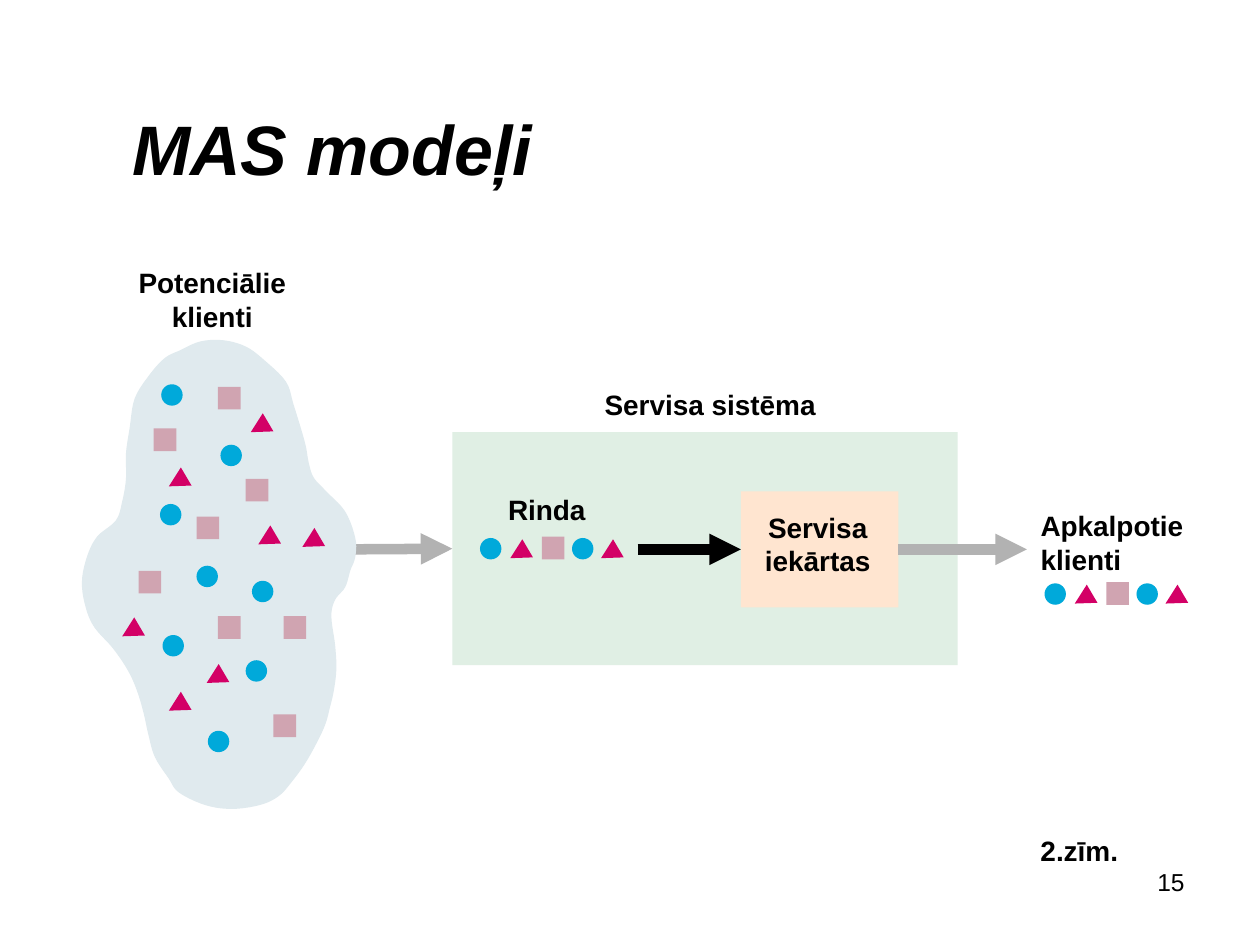
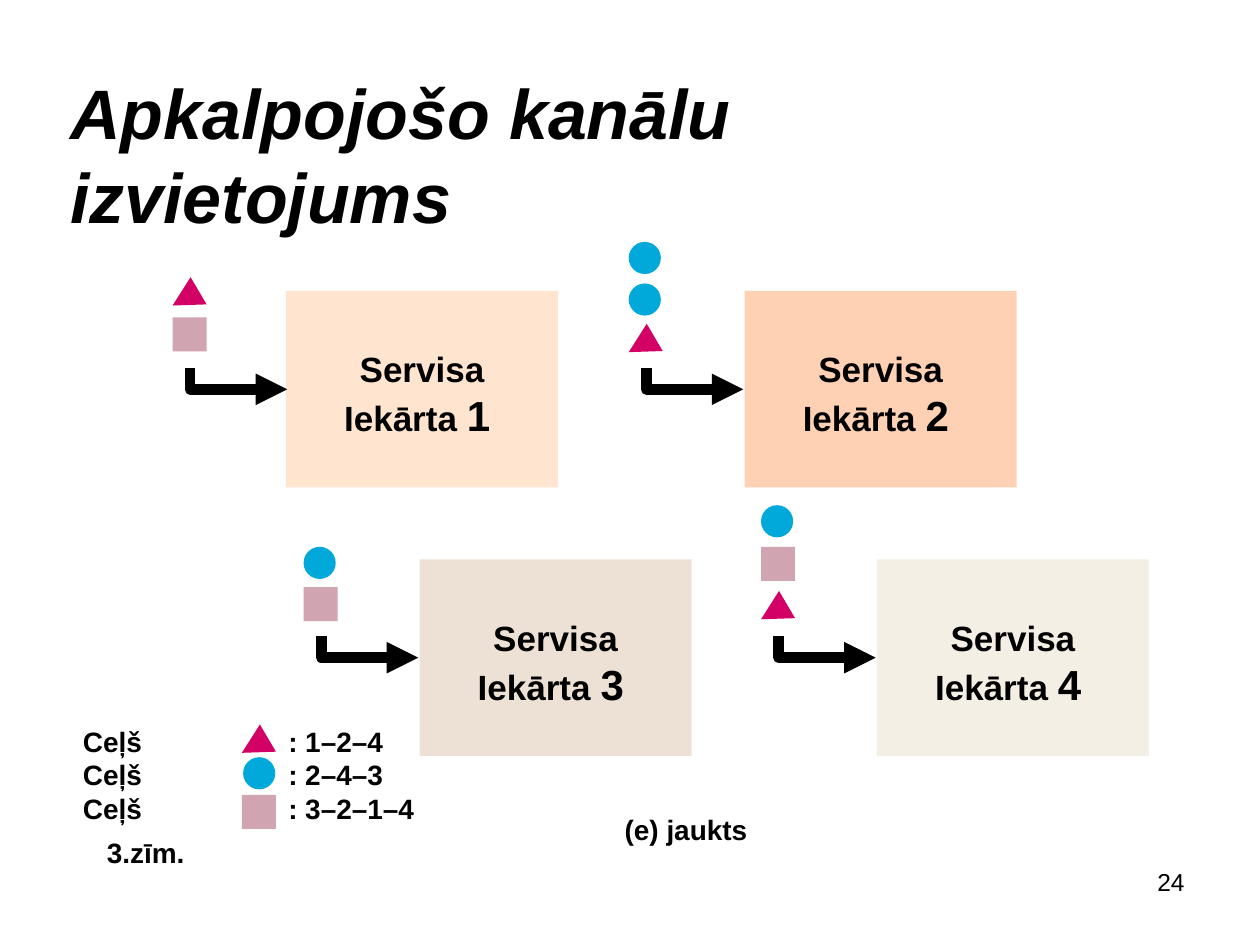
from lxml.etree import SubElement
from pptx import Presentation
from pptx.dml.color import RGBColor
from pptx.enum.shapes import MSO_CONNECTOR, MSO_SHAPE
from pptx.enum.text import MSO_ANCHOR as ANCHOR, PP_ALIGN as ALIGN
from pptx.oxml.ns import qn
from pptx.util import Inches, Pt

BLACK, GREY = "000000", "B2B2B2"
MINT, PEACH, MIST = "E0EFE4", "FFE5D0", "E0EAEE"
# Client marks: colour, width, height
MARKS = {
    "circle": ("00A9DA", 0.17, 0.17),
    "square": ("D0A4B1", 0.18, 0.18),
    "triangle": ("D30066", 0.18, 0.15),
}
TOP, LEFT, BOTTOM, RIGHT = range(4)


def color(value):
    return RGBColor.from_string(value)


class Deck:
    font = "Arial"

    def __init__(self):
        self.presentation = Presentation()
        self.presentation.slide_width = Inches(10)
        self.presentation.slide_height = Inches(7.5)
        self.slide = None

    def new_slide(self, title, title_box, number):
        layout = self.presentation.slide_layouts[6]
        self.slide = self.presentation.slides.add_slide(layout)
        self.text([title], *title_box, size=40, italic=True, anchor=ANCHOR.MIDDLE)
        self.text([number], 7.17, 6.83, 2.33, 0.52, size=14, bold=False,
                  align=ALIGN.RIGHT)

    def text(self, lines, left, top, width, height, size=16, bold=True,
             italic=False, align=ALIGN.LEFT, anchor=ANCHOR.TOP, tab=None):
        box = self.slide.shapes.add_textbox(
            Inches(left), Inches(top), Inches(width), Inches(height))
        frame = box.text_frame
        frame.word_wrap = True
        frame.vertical_anchor = anchor
        for index, line in enumerate(lines):
            paragraph = frame.add_paragraph() if index else frame.paragraphs[0]
            paragraph.text = line
            paragraph.alignment = align
            if tab:
                tabs = SubElement(paragraph._p.get_or_add_pPr(), qn("a:tabLst"))
                SubElement(tabs, qn("a:tab"), pos=str(Inches(tab)), algn="l")
            font = paragraph.font
            font.name, font.size = self.font, Pt(size)
            font.bold, font.italic = bold, italic
            font.color.rgb = color(BLACK)
        return frame

    def paint(self, shape, fill):
        shape.shadow.inherit = False
        shape.fill.solid()
        shape.fill.fore_color.rgb = color(fill)
        shape.line.fill.background()
        return shape

    def block(self, left, top, width, height, fill, kind=MSO_SHAPE.RECTANGLE):
        shape = self.slide.shapes.add_shape(
            kind, Inches(left), Inches(top), Inches(width), Inches(height))
        return self.paint(shape, fill)

    def outline(self, points, close=True):
        corners = [(Inches(x), Inches(y)) for x, y in points]
        builder = self.slide.shapes.build_freeform(*corners[0])
        builder.add_line_segments(corners[1:], close=close)
        return builder.convert_to_shape()

    def mark(self, kind, left, top, scale=1):
        fill, width, height = MARKS[kind]
        width, height = width * scale, height * scale
        if kind == "triangle":
            corners = [(left, top + height), (left + 0.53 * width, top),
                       (left + width, top + 0.96 * height)]
            self.paint(self.outline(corners), fill)
        else:
            preset = MSO_SHAPE.OVAL if kind == "circle" else MSO_SHAPE.RECTANGLE
            self.block(left, top, width, height, fill, preset)

    def client_row(self, left, top):
        kinds = ("circle", "triangle", "square", "circle", "triangle")
        offsets = ((0, 0.01), (0.24, 0.02), (0.49, 0), (0.73, 0.01), (0.96, 0.02))
        for kind, (x, y) in zip(kinds, offsets):
            self.mark(kind, left + x, top + y)

    def arrow_line(self, shape, stroke):
        shape.line.color.rgb = color(stroke)
        shape.line.width = Pt(6)
        line = shape.line._get_or_add_ln()
        SubElement(line, qn("a:round"))
        SubElement(line, qn("a:tailEnd"), type="triangle")

    def arrow(self, start, end, stroke, source=None, target=None):
        connector = self.slide.shapes.add_connector(
            MSO_CONNECTOR.STRAIGHT, *(Inches(value) for value in start + end))
        if source:
            connector.begin_connect(source, RIGHT)
        if target:
            connector.end_connect(target, LEFT)
        self.arrow_line(connector, stroke)
        SubElement(connector._element.spPr, qn("a:effectLst"))

    def bent_arrow(self, left, top):
        bottom = top + 0.17
        shape = self.outline(
            [(left, top), (left, bottom), (left + 0.77, bottom)], close=False)
        shape.shadow.inherit = False
        shape.fill.background()
        self.arrow_line(shape, BLACK)

    def station(self, number, left, top, fill):
        self.block(left, top, 2.16, 1.56, fill)
        frame = self.text(["Servisa", "Iekārta "], left + 0.31, top + 0.4,
                          1.54, 0.84, size=20, align=ALIGN.CENTER)
        paragraph = frame.paragraphs[1]
        digit = paragraph.add_run()
        digit.text = number
        digit.font.size = Pt(24)
        paragraph.add_run().text = " "


def smooth(points, steps=5):
    """Closed Catmull-Rom curve through the points."""
    curve = []
    count = len(points)
    for index in range(count):
        a, b, c, d = (points[(index + k) % count] for k in (-1, 0, 1, 2))
        for step in range(steps):
            t = step / steps
            curve.append(tuple(
                0.5 * (2 * q + (r - p) * t + (2 * p - 5 * q + 4 * r - s) * t ** 2
                       + (3 * q - p - 3 * r + s) * t ** 3)
                for p, q, r, s in zip(a, b, c, d)))
    return curve


CLOUD = [
    (1.77, 2.7), (1.95, 2.75), (2.1, 2.86), (2.27, 3.03), (2.33, 3.21),
    (2.42, 3.51), (2.45, 3.67), (2.49, 3.79), (2.59, 3.9), (2.74, 4.06),
    (2.82, 4.27), (2.82, 4.42), (2.78, 4.53), (2.74, 4.66), (2.66, 4.76),
    (2.63, 4.89), (2.66, 5.12), (2.67, 5.31), (2.65, 5.48), (2.62, 5.61),
    (2.57, 5.78), (2.44, 6.03), (2.32, 6.2), (2.21, 6.32), (2.06, 6.39),
    (1.84, 6.42), (1.63, 6.39), (1.42, 6.29), (1.34, 6.18), (1.23, 6.01),
    (1.18, 5.84), (1.14, 5.66), (1.09, 5.49), (1.02, 5.33), (0.9, 5.15),
    (0.75, 4.98), (0.68, 4.82), (0.65, 4.62), (0.69, 4.42), (0.77, 4.26),
    (0.92, 4.13), (0.97, 3.98), (1, 3.8), (1, 3.6), (1.03, 3.39),
    (1.07, 3.16), (1.19, 2.97), (1.31, 2.84), (1.43, 2.78), (1.59, 2.71),
]

POTENTIAL_CLIENTS = {
    "circle": [(1.28, 3.05), (1.56, 4.49), (1.75, 3.53), (1.29, 5.04),
               (1.27, 4), (1.95, 5.24), (2, 4.61), (1.65, 5.8)],
    "triangle": [(1.99, 3.28), (2.4, 4.19), (1.34, 3.71), (2.05, 4.17),
                 (1.64, 5.27), (0.97, 4.9), (1.34, 5.49)],
    "square": [(2.17, 5.67), (2.25, 4.89), (1.73, 4.89), (1.1, 4.53),
               (1.73, 3.07), (1.22, 3.4), (1.95, 3.8), (1.56, 4.1)],
}

# Station: number, left, top, fill, queue centre, queue of (mark, top)
STATIONS = [
    ("1", 2.27, 2.31, PEACH, 1.51, [("triangle", 2.2), ("square", 2.52)]),
    ("2", 5.91, 2.31, "FED1B4", 5.13,
     [("circle", 1.92), ("circle", 2.25), ("triangle", 2.57)]),
    ("3", 3.33, 4.44, "EDE1D6", 2.55, [("circle", 4.34), ("square", 4.66)]),
    ("4", 6.96, 4.44, "F4EFE4", 6.18,
     [("circle", 4.01), ("square", 4.34), ("triangle", 4.69)]),
]

# Route: mark, mark left, mark top, order of stations
ROUTES = [
    ("triangle", 1.92, 5.75, "1–2–4"),
    ("circle", 1.93, 6.01, "2–4–3"),
    ("square", 1.92, 6.31, "3–2–1–4"),
]


def build_models_slide(deck):
    deck.new_slide("MAS modeļi", (0.95, 0.64, 7.14, 1.06), "15")

    # Service system and its arrows
    system = deck.block(3.59, 3.43, 4.01, 1.85, MINT)
    service = deck.block(5.88, 3.9, 1.25, 0.92, PEACH)
    deck.arrow((2.78, 4.36), (3.59, 4.36), GREY, target=system)
    deck.arrow((5.06, 4.36), (5.88, 4.36), BLACK, target=service)
    deck.arrow((7.13, 4.36), (8.15, 4.36), GREY, source=service)

    # Potential clients
    deck.paint(deck.outline(smooth(CLOUD)), MIST)
    for kind, places in POTENTIAL_CLIENTS.items():
        for left, top in places:
            deck.mark(kind, left, top)

    # Waiting and served clients
    deck.client_row(3.81, 4.26)
    deck.client_row(8.29, 4.62)

    # Labels
    deck.text(["Potenciālie klienti"], 0.92, 2.06, 1.53, 0.64, align=ALIGN.CENTER)
    deck.text(["Servisa sistēma"], 4.7, 3.03, 2, 0.37)
    deck.text(["Rinda"], 3.84, 3.86, 1, 0.37, align=ALIGN.CENTER)
    deck.text(["Servisa", "iekārtas"], 5.87, 4, 1.24, 0.64, align=ALIGN.CENTER)
    deck.text(["Apkalpotie", "klienti"], 8.16, 3.99, 1.58, 0.64)
    deck.text(["2.zīm."], 8.16, 6.57, 1, 0.37)


def build_layout_slide(deck):
    deck.new_slide("Apkalpojošo kanālu\vizvietojums", (0.46, 0.77, 9.13, 0.9), "24")

    # Stations with their queues
    for number, left, top, fill, center, queue in STATIONS:
        deck.station(number, left, top, fill)
        deck.bent_arrow(center, top + 0.61)
        for kind, mark_top in queue:
            deck.mark(kind, center - 0.14, mark_top, scale=1.5)

    # Routes
    deck.text([f"Ceļš\t: {order}" for *_, order in ROUTES],
              0.56, 5.7, 3, 0.9, tab=1.63)
    for kind, left, top, _ in ROUTES:
        deck.mark(kind, left, top, scale=1.5)

    # Captions
    deck.text(["(e) jaukts"], 4.86, 6.4, 1.4, 0.37)
    deck.text(["3.zīm."], 0.75, 6.58, 1, 0.37)


def main():
    deck = Deck()
    build_models_slide(deck)
    build_layout_slide(deck)
    deck.presentation.save("out.pptx")


if __name__ == "__main__":
    main()
